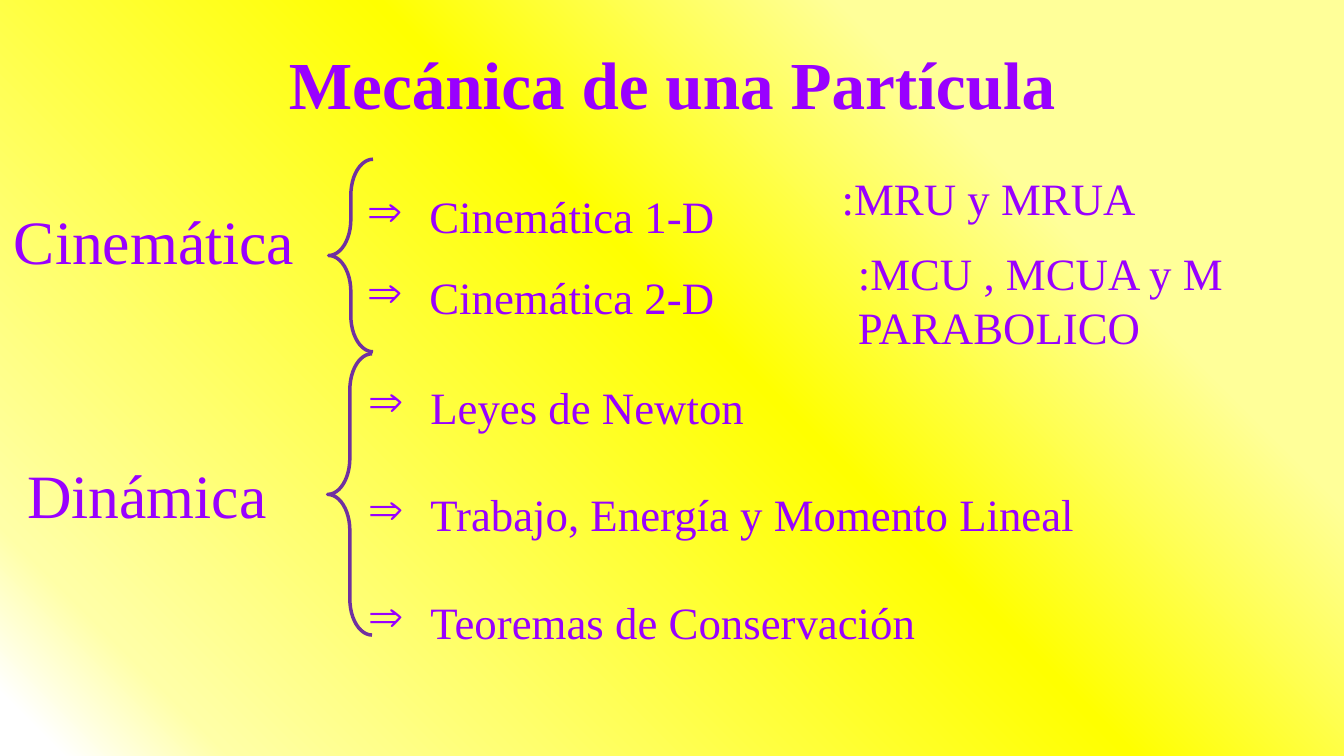
from typing import NamedTuple

from pptx import Presentation
from pptx.dml.color import RGBColor
from pptx.enum import shapes, text
from pptx.oxml import parse_xml
from pptx.oxml.ns import nsdecls
from pptx.slide import Slide
from pptx.util import Inches, Pt

COLORS = {
    "text": "9900FF",
    "brace": "7030A0",
    "pale": "FFFF99",
    "yellow": "FFFF00",
    "cream": "FFFFA7",
    "white": "FFFFFF",
}
BACKGROUND_STOPS = [(24, "pale"), (46, "yellow"), (89, "cream"), (97, "white")]
FONT = "Times New Roman"
BULLET_INDENT = Inches(0.62)


class Label(NamedTuple):
    left: float
    top: float
    width: float
    height: float
    lines: list[str]
    size: int = 32
    line_spacing: float = 1.0
    bulleted: bool = False
    title: bool = False


class Brace(NamedTuple):
    left: float
    top: float
    width: float
    height: float


LABELS = [
    Label(0.92, 0.15, 11.5, 1.45, ["Mecánica de una Partícula"], 48, 0.9, title=True),
    Label(0.04, 1.96, 3.31, 0.84, ["Cinemática"], 44),
    Label(0.17, 4.48, 3.31, 0.84, ["Dinámica"], 44),
    Label(8.25, 1.64, 4.41, 1.38, [":MRU y MRUA"]),
    Label(8.41, 2.39, 3.98, 1.18, [":MCU , MCUA y M PARABOLICO"]),
    Label(3.54, 1.56, 5.33, 2.46, ["Cinemática 1-D", "Cinemática 2-D"],
          line_spacing=1.5, bulleted=True),
    Label(3.55, 3.18, 7.84, 4.07,
          ["Leyes de Newton", "Trabajo, Energía y Momento Lineal",
           "Teoremas de Conservación"],
          line_spacing=2.0, bulleted=True),
]
BRACES = [Brace(3.26, 1.58, 0.44, 1.91), Brace(3.25, 3.51, 0.44, 2.79)]


def set_background(slide: Slide) -> None:
    """Fill the slide with a radial gradient centred on its top right corner."""
    stops = "".join(
        f'<a:gs pos="{percent * 1000}"><a:srgbClr val="{COLORS[name]}"/></a:gs>'
        for percent, name in BACKGROUND_STOPS
    )
    background = parse_xml(
        f'<p:bg {nsdecls("p", "a")}><p:bgPr><a:gradFill rotWithShape="1">'
        f'<a:gsLst>{stops}</a:gsLst><a:path path="circle">'
        '<a:fillToRect l="100000" b="100000"/></a:path></a:gradFill>'
        '<a:effectLst/></p:bgPr></p:bg>'
    )
    slide.element.cSld.insert(0, background)


def add_label(slide: Slide, label: Label) -> None:
    box = slide.shapes.add_textbox(*map(Inches, label[:4]))
    frame = box.text_frame
    frame.word_wrap = True
    frame.text = "\n".join(label.lines)
    if label.title:
        frame.vertical_anchor = text.MSO_ANCHOR.MIDDLE
    else:
        frame.auto_size = text.MSO_AUTO_SIZE.SHAPE_TO_FIT_TEXT
    for paragraph in frame.paragraphs:
        paragraph.line_spacing = label.line_spacing
        if label.title:
            paragraph.alignment = text.PP_ALIGN.CENTER
        if label.bulleted:
            properties = paragraph._p.get_or_add_pPr()
            properties.set("marL", str(BULLET_INDENT))
            properties.set("indent", str(-BULLET_INDENT))
            properties.append(parse_xml(f'<a:buChar {nsdecls("a")} char="⇒"/>'))
        font = paragraph.font
        font.name = FONT
        font.size = Pt(label.size)
        font.bold = label.title
        font.color.rgb = RGBColor.from_string(COLORS["text"])


def add_brace(slide: Slide, brace: Brace) -> None:
    shape = slide.shapes.add_shape(shapes.MSO_SHAPE.LEFT_BRACE, *map(Inches, brace))
    shape.adjustments[0] = 0.812
    shape.shadow.inherit = False
    shape.fill.background()
    shape.line.color.rgb = RGBColor.from_string(COLORS["brace"])
    shape.line.width = Pt(2.5)


def main() -> None:
    presentation = Presentation()
    presentation.slide_width = Inches(13.33)
    presentation.slide_height = Inches(7.5)
    slide = presentation.slides.add_slide(presentation.slide_layouts[6])
    set_background(slide)
    for label in LABELS:
        add_label(slide, label)
    for brace in BRACES:
        add_brace(slide, brace)
    presentation.save("out.pptx")


if __name__ == "__main__":
    main()
